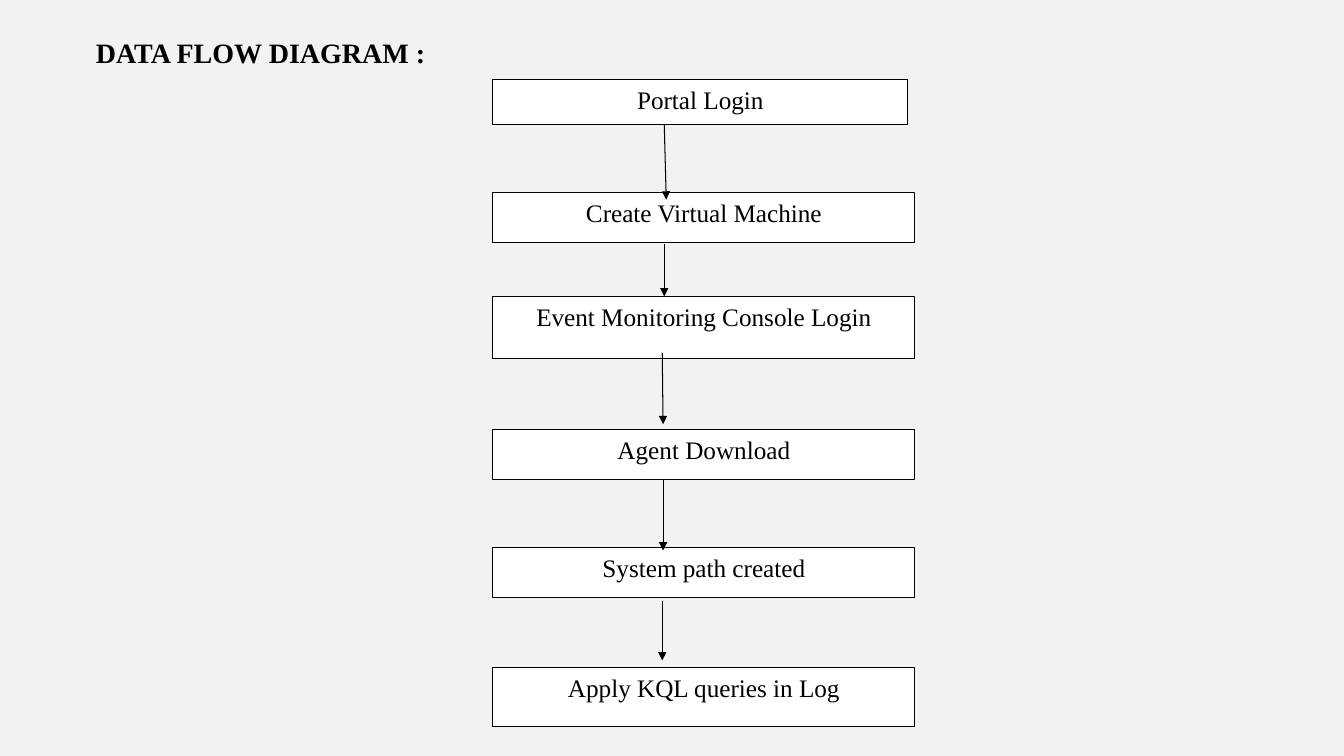
from lxml.etree import SubElement
from pptx import Presentation
from pptx.dml.color import RGBColor
from pptx.enum.shapes import MSO_CONNECTOR, MSO_SHAPE
from pptx.enum.text import MSO_ANCHOR, MSO_AUTO_SIZE, PP_ALIGN
from pptx.oxml.ns import qn
from pptx.util import Cm, Pt

COLORS = {"background": "F2F2F2", "box": "FFFFFF", "ink": "000000"}
FONT = "Times New Roman"

# label, top, width, height in cm
STEPS = [
    ("Portal Login", 2.01, 10.46, 1.14),
    ("Create Virtual Machine", 4.85, 10.64, 1.27),
    ("Event Monitoring Console Login", 7.47, 10.64, 1.57),
    ("Agent Download", 10.82, 10.64, 1.27),
    ("System path created", 13.79, 10.64, 1.27),
    ("Apply KQL queries in Log", 16.81, 10.64, 1.5),
]
# start x, start y, end x, end y in cm, x measured from the left of the boxes
ARROWS = [
    (4.32, 3.15, 4.37, 5.03),
    (4.32, 6.15, 4.32, 7.47),
    (4.27, 8.89, 4.29, 10.69),
    (4.29, 12.09, 4.29, 13.87),
    (4.27, 15.14, 4.27, 16.64),
]


def color(name):
    return RGBColor.from_string(COLORS[name])


def style_text(paragraph, size, alignment, bold=False):
    paragraph.alignment = alignment
    paragraph.font.name = FONT
    paragraph.font.size = Pt(size)
    paragraph.font.bold = bold
    paragraph.font.color.rgb = color("ink")


def style_line(line):
    line.color.rgb = color("ink")
    line.width = Pt(0.75)


def add_title(slide, left, top, width, height):
    title = slide.shapes.title
    title.left, title.top = Cm(left), Cm(top)
    title.width, title.height = Cm(width), Cm(height)
    frame = title.text_frame
    frame.text = "DATA FLOW DIAGRAM :"
    frame.word_wrap = False
    frame.auto_size = MSO_AUTO_SIZE.SHAPE_TO_FIT_TEXT
    frame.vertical_anchor = MSO_ANCHOR.MIDDLE
    style_text(frame.paragraphs[0], 20, PP_ALIGN.LEFT, bold=True)


def add_step(slide, label, left, top, width, height):
    shape = slide.shapes.add_shape(
        MSO_SHAPE.RECTANGLE, Cm(left), Cm(top), Cm(width), Cm(height))
    shape.shadow.inherit = False
    shape.fill.solid()
    shape.fill.fore_color.rgb = color("box")
    style_line(shape.line)
    frame = shape.text_frame
    frame.text = label
    frame.word_wrap = True
    frame.vertical_anchor = MSO_ANCHOR.TOP
    style_text(frame.paragraphs[0], 18, PP_ALIGN.CENTER)


def add_arrow(slide, start_x, start_y, end_x, end_y):
    arrow = slide.shapes.add_connector(
        MSO_CONNECTOR.STRAIGHT, Cm(start_x), Cm(start_y), Cm(end_x), Cm(end_y))
    style_line(arrow.line)
    properties = arrow._element.spPr
    SubElement(properties.find(qn("a:ln")), qn("a:tailEnd"), type="triangle")
    SubElement(properties, qn("a:effectLst"))


def add_flow(slide, left):
    for label, top, width, height in STEPS:
        add_step(slide, label, left, top, width, height)
    for start_x, start_y, end_x, end_y in ARROWS:
        add_arrow(slide, left + start_x, start_y, left + end_x, end_y)


def main():
    presentation = Presentation()
    presentation.slide_width, presentation.slide_height = Cm(33.87), Cm(19.05)
    slide = presentation.slides.add_slide(
        presentation.slide_layouts.get_by_name("Title Only"))
    slide.background.fill.solid()
    slide.background.fill.fore_color.rgb = color("background")
    add_title(slide, 2.16, 0.76, 8.89, 1.12)
    add_flow(slide, 12.42)
    presentation.save("out.pptx")


if __name__ == "__main__":
    main()
